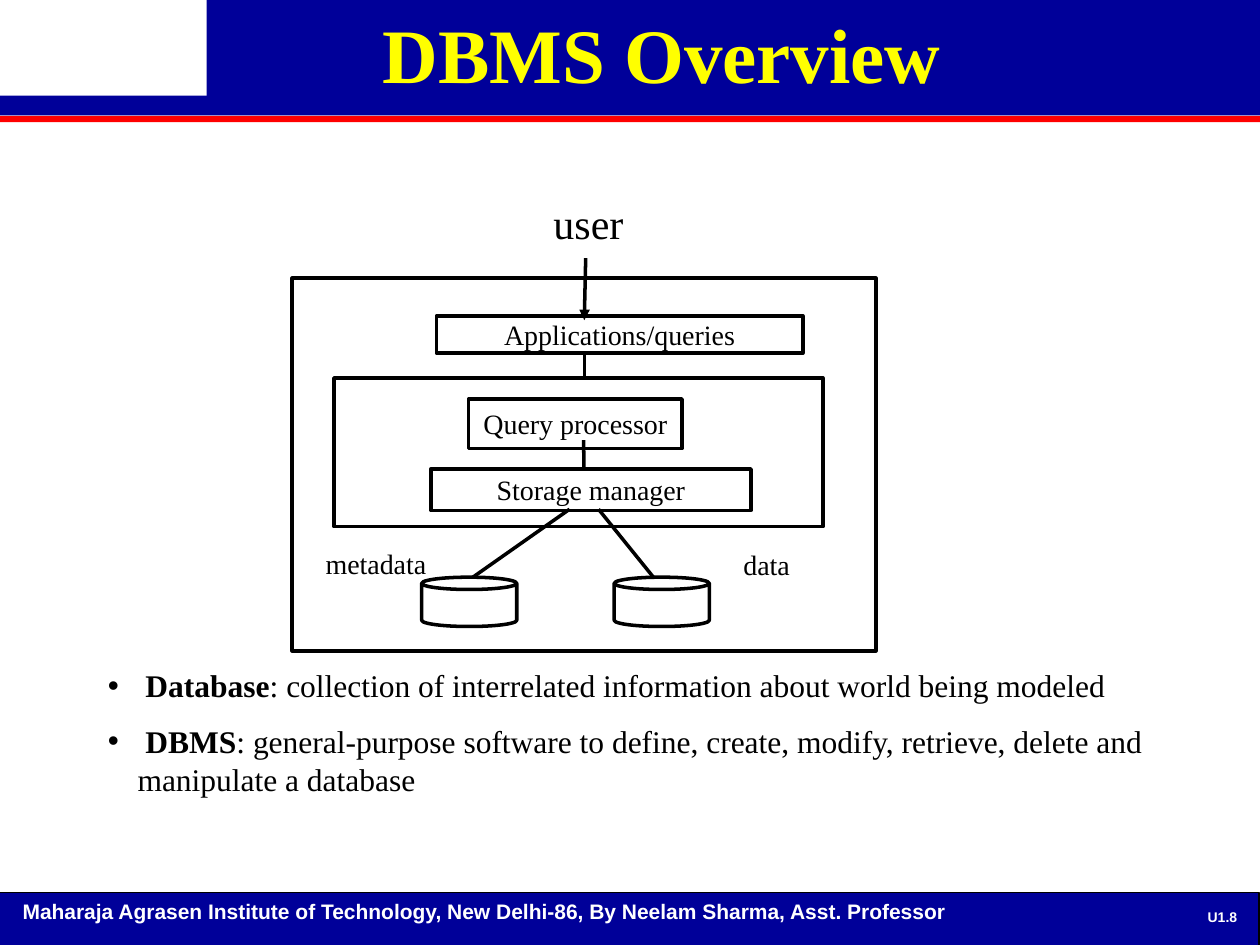
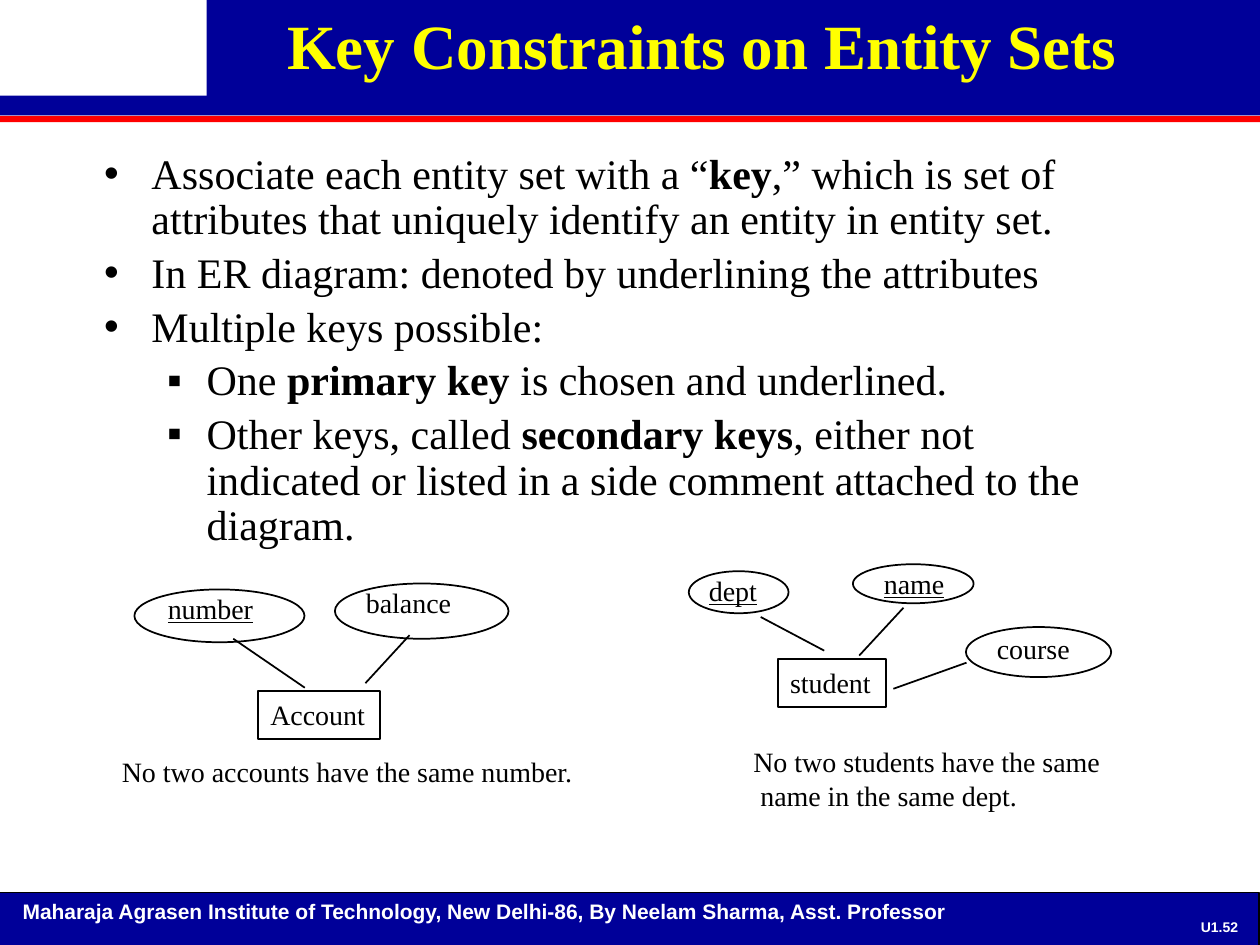
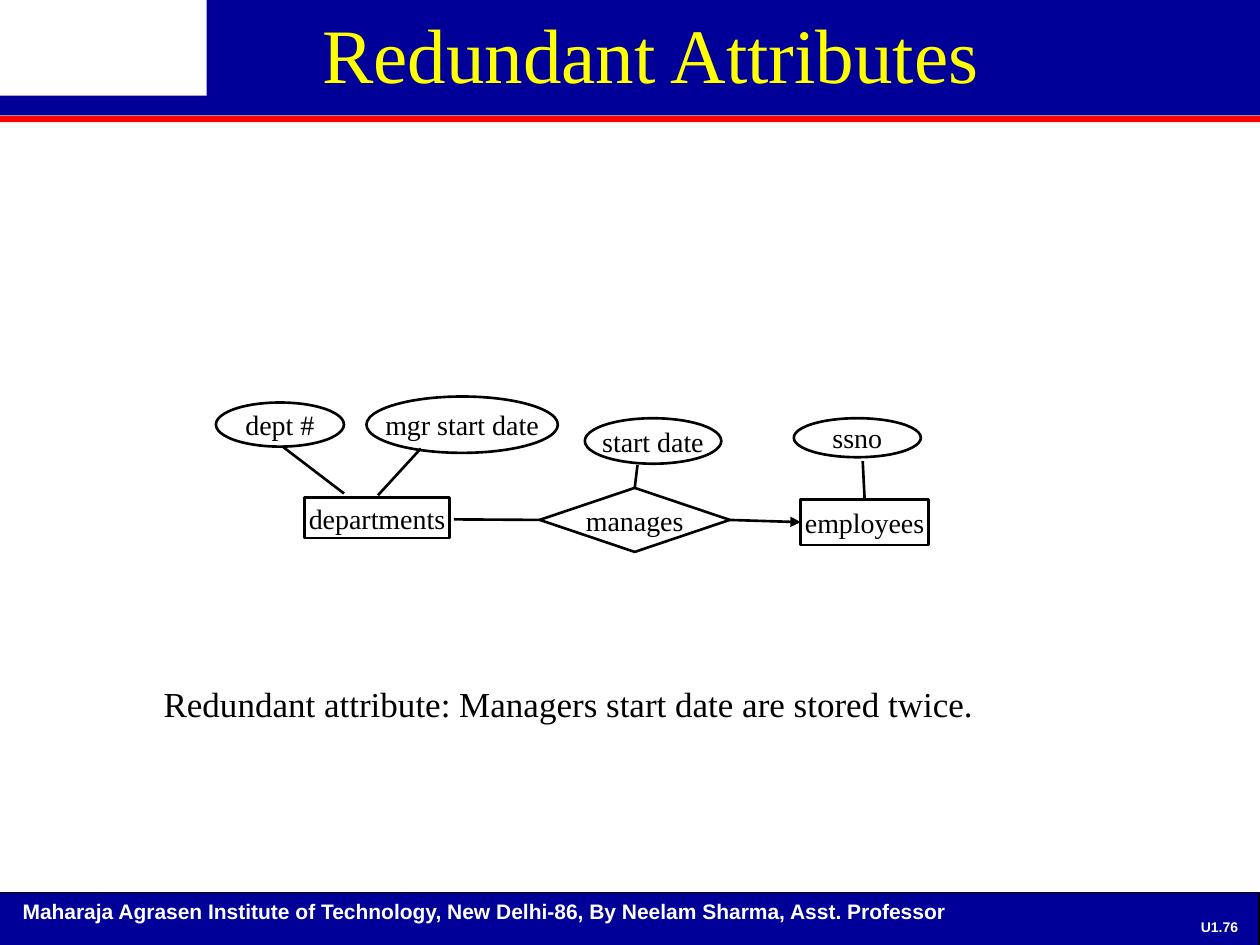
from lxml.etree import SubElement
from pptx import Presentation
from pptx.dml.color import RGBColor
from pptx.enum.shapes import MSO_CONNECTOR, MSO_SHAPE
from pptx.enum.text import MSO_ANCHOR, MSO_AUTO_SIZE, PP_ALIGN
from pptx.oxml.ns import qn
from pptx.util import Pt

NAVY, RED, YELLOW, BLACK, WHITE = "000099", "FF0000", "FFFF00", "000000", "FFFFFF"
SERIF, SANS = "Times New Roman", "Arial"
FOOTER = "Maharaja Agrasen Institute of Technology, New Delhi-86, By Neelam Sharma, Asst. Professor"
LEFT, CENTER = PP_ALIGN.LEFT, PP_ALIGN.CENTER
TOP, MIDDLE = MSO_ANCHOR.TOP, MSO_ANCHOR.MIDDLE
# Connection sites of rectangles and diamonds
SITE_TOP, SITE_LEFT, SITE_RIGHT = 0, 1, 3


def color(hex_code):
    return RGBColor.from_string(hex_code)


def format_run(run, size, font=SERIF, ink=BLACK, bold=False, underline=False):
    run.font.size = Pt(size)
    run.font.name = font
    run.font.color.rgb = color(ink)
    run.font.bold = bold
    if underline:
        run.font.underline = True


def write(shape, lines, size, align=LEFT, anchor=TOP, wrap=False, **style):
    """Fill a shape with one paragraph per line, all in one style."""
    frame = shape.text_frame
    frame.text = "\n".join(lines)
    frame.word_wrap = wrap
    frame.auto_size = MSO_AUTO_SIZE.NONE
    frame.vertical_anchor = anchor
    for paragraph in frame.paragraphs:
        paragraph.alignment = align
        for run in paragraph.runs:
            format_run(run, size, **style)


def add_label(slide, box, lines, size=16, **style):
    label = slide.shapes.add_textbox(*map(Pt, box))
    write(label, lines, size, **style)
    return label


def add_outline(slide, kind, box, weight, text=None, align=CENTER, anchor=MIDDLE):
    """Unfilled diagram node with a black border."""
    node = slide.shapes.add_shape(kind, *map(Pt, box))
    node.shadow.inherit = False
    node.fill.background()
    node.line.color.rgb = color(BLACK)
    node.line.width = Pt(weight)
    if text:
        write(node, [text], 16, align=align, anchor=anchor)
    return node


def add_band(slide, box, fill, border=None):
    band = slide.shapes.add_shape(MSO_SHAPE.RECTANGLE, *map(Pt, box))
    band.shadow.inherit = False
    band.fill.solid()
    band.fill.fore_color.rgb = color(fill)
    if border:
        band.line.color.rgb = color(border)
        band.line.width = Pt(0.75)
    else:
        band.line.fill.background()
    return band


def add_link(slide, start, end, weight, arrow=False):
    link = slide.shapes.add_connector(MSO_CONNECTOR.STRAIGHT, *map(Pt, start + end))
    link.line.color.rgb = color(BLACK)
    link.line.width = Pt(weight)
    if arrow:
        SubElement(link.line._get_or_add_ln(), qn("a:tailEnd"), type="triangle")
    SubElement(link.element.spPr, qn("a:effectLst"))
    return link


def add_bullets(slide, box, items, size, gap, spacing=None):
    """Items are (text, bullet, left margin, hang); ** switches bold on and off."""
    frame = slide.shapes.add_textbox(*map(Pt, box)).text_frame
    frame.word_wrap = True
    for number, (text, bullet, margin, hang) in enumerate(items):
        paragraph = frame.add_paragraph() if number else frame.paragraphs[0]
        props = paragraph._p.get_or_add_pPr()
        props.set("marL", str(Pt(margin)))
        props.set("indent", str(-Pt(hang)))
        SubElement(props, qn("a:buFont"), typeface=SANS)
        SubElement(props, qn("a:buChar"), char=bullet)
        if number:
            paragraph.space_before = Pt(gap)
        if spacing:
            paragraph.line_spacing = spacing
        for part, words in enumerate(text.split("**")):
            if words:
                run = paragraph.add_run()
                run.text = words
                format_run(run, size, bold=part % 2 == 1)


def brand_layout(layout, slide):
    """Build the bands and footer, then move them to the shared layout."""
    for placeholder in list(layout.placeholders):
        if placeholder.placeholder_format.idx != 0:
            layout.shapes.element.remove(placeholder.element)
    parts = [
        add_band(slide, (0, 66.2, 720, 3.6), RED),
        add_band(slide, (118, 0, 602, 55), NAVY),
        add_band(slide, (0, 54.7, 720, 11.3), NAVY),
        add_band(slide, (-0.5, 510, 720, 30.5), NAVY, BLACK),
        add_label(slide, (5.8, 510, 683, 22), [FOOTER], 12, wrap=True,
                  font=SANS, ink=WHITE, bold=True),
    ]
    for part in parts:
        layout.shapes.element.append(part.element)


def start_slide(deck, title, title_box, page, size=44, bold=True):
    layout = deck.slide_layouts[5]
    slide = deck.slides.add_slide(layout)
    if len(deck.slides) == 1:
        brand_layout(layout, slide)
    heading = slide.shapes.title
    heading.left, heading.top, heading.width, heading.height = map(Pt, title_box)
    write(heading, [title], size, align=CENTER, wrap=True, ink=YELLOW, bold=bold)

    # Page number: a wide leading space, then the small number
    number = add_label(slide, (678.2, 515.5, 37.4, 13.7), [" "], 12, align=CENTER,
                       anchor=MIDDLE, wrap=True, font=SANS, ink=WHITE, bold=True)
    run = number.text_frame.paragraphs[0].add_run()
    run.text = page
    format_run(run, 8, SANS, WHITE, True)
    return slide


def overview_slide(deck):
    slide = start_slide(deck, "DBMS Overview", (98.6, 0, 559.4, 64), "U1.8")

    # System layers
    for box, text in [
        ((167, 159, 333.5, 213), None),
        ((249.3, 180.6, 209.5, 21.2), "Applications/queries"),
        ((190.8, 216, 279.4, 85), None),
        ((267.8, 228, 122, 28.4), "Query processor"),
        ((246.2, 268, 183, 23.7), "Storage manager"),
    ]:
        add_outline(slide, MSO_SHAPE.RECTANGLE, box, 2, text)

    # Stores
    for left in (241, 351):
        add_outline(slide, MSO_SHAPE.CAN, (left, 329.8, 54.3, 28.2), 2)

    # Links between layers
    for start, end in [
        ((333.9, 201.8), (333.9, 216)),
        ((333.5, 251.5), (333.7, 269)),
        ((325.5, 291), (270, 330)),
        ((342, 291), (373.5, 330)),
    ]:
        add_link(slide, start, end, 2)
    add_link(slide, (334.7, 147.5), (333.9, 183), 2, arrow=True)

    # Names outside the boxes
    for box, text, size in [
        ((308.9, 109.5, 54.7, 36), "user", 24),
        ((178.5, 308.5, 72.7, 26.6), "metadata", 16),
        ((417.6, 309, 41, 26.6), "data", 16),
    ]:
        add_label(slide, box, [text], size, align=CENTER, anchor=MIDDLE)

    # Definitions
    add_bullets(slide, (54.5, 377.3, 610.5, 83.5), [
        ("** Database**: collection of interrelated information about world being modeled",
         "•", 17, 17),
        ("** DBMS**: general-purpose software to define, create, modify, retrieve, "
         "delete and manipulate a database", "•", 17, 17),
    ], 18, 10)


def keys_slide(deck):
    slide = start_slide(deck, "Key Constraints on Entity Sets",
                        (104.4, 0, 593.3, 64), "U1.52", size=36)

    # Rules about keys
    main, sub = ("•", 27, 27), ("▪", 58.5, 22.5)
    add_bullets(slide, (52.5, 84, 597.6, 208), [
        ("Associate each entity set with a “**key**,” which is set of attributes "
         "that uniquely identify an entity in entity set.", *main),
        ("In ER diagram: denoted by underlining the attributes", *main),
        ("Multiple keys possible:", *main),
        ("One **primary key **is chosen and underlined.", *sub),
        ("Other keys, called **secondary keys**, either not indicated or listed "
         "in a side comment attached to the diagram.", *sub),
    ], 24, 4.8, 0.9)

    # Attributes: ellipse, label box, name, part of the key
    for ellipse, label, name, is_key in [
        ((76.8, 336.8, 97.2, 30.2), (88.8, 334.4, 90.7, 26.6), "number", True),
        ((191.4, 333.4, 99.2, 31.6), (202, 330.8, 63.4, 26.6), "balance", False),
        ((393.6, 326.4, 57, 24), (398, 324, 60.5, 26.6), "dept", True),
        ((487.4, 322.4, 69, 22.3), (498, 320, 49, 26.6), "name", True),
        ((552, 358.3, 83, 28.6), (562.6, 357.5, 56, 26.6), "course", False),
    ]:
        add_outline(slide, MSO_SHAPE.OVAL, ellipse, 1)
        add_label(slide, label, [name], wrap=name in ("number", "dept"),
                  underline=is_key)

    # Entity sets
    for box, name in [((147.4, 394.8, 69.8, 27.6), "Account"),
                      ((444.4, 376.5, 62, 27.6), "student")]:
        add_outline(slide, MSO_SHAPE.RECTANGLE, box, 1, name, LEFT, TOP)

    # Links from entity sets to attributes
    for start, end in [
        ((174.2, 393), (133.3, 365)),
        ((208.8, 390.4), (234, 363)),
        ((471, 371.8), (434.7, 352.6)),
        ((491, 374.6), (516.3, 347.3)),
        ((510.5, 393.6), (552.3, 378.7)),
    ]:
        add_link(slide, start, end, 1)

    # Meaning of each key
    add_label(slide, (62.6, 427.8, 274.4, 26.6), ["No two accounts have the same number."])
    add_label(slide, (423.4, 422, 214, 46),
              ["No two students have the same", " name in the same dept."])


def redundancy_slide(deck):
    slide = start_slide(deck, "Redundant Attributes", (48, 0, 648, 90), "U1.76", bold=False)
    weight = 1.5

    # Entities and their relationship
    add_outline(slide, MSO_SHAPE.RECTANGLE, (174, 284.4, 83, 23), weight, "departments")
    employees = add_outline(slide, MSO_SHAPE.RECTANGLE, (457.6, 285.4, 73, 26), weight,
                            "employees")
    manages = add_outline(slide, MSO_SHAPE.DIAMOND, (308.4, 278.8, 108.6, 36.6), weight,
                          "manages")

    # Attributes
    for box, name in [
        ((209.4, 226.6, 109.4, 32.2), "mgr start date"),
        ((123.4, 230, 73.2, 25.2), "dept #"),
        ((334.2, 239, 78, 26), "start date"),
        ((453.6, 239, 72.6, 22.3), "ssno"),
    ]:
        add_outline(slide, MSO_SHAPE.OVAL, box, weight, name)

    # Links
    add_link(slide, (162, 255.6), (196.6, 282), weight)
    add_link(slide, (240.5, 256.3), (216, 283), weight)
    for start, node, site in [
        ((259.4, 296.8), manages, SITE_LEFT),
        ((364.3, 265.7), manages, SITE_TOP),
        ((493, 263.5), employees, SITE_TOP),
    ]:
        add_link(slide, start, start, weight).end_connect(node, site)
    role = add_link(slide, (417, 297), (457.6, 298), weight, arrow=True)
    role.begin_connect(manages, SITE_RIGHT)
    role.end_connect(employees, SITE_LEFT)

    # Conclusion
    add_label(slide, (86.4, 386.6, 520, 31),
              ["Redundant attribute: Managers start date are stored twice."], 20, wrap=True)


def main():
    deck = Presentation()
    deck.slide_width, deck.slide_height = Pt(720), Pt(540)
    overview_slide(deck)
    keys_slide(deck)
    redundancy_slide(deck)
    deck.save("out.pptx")


if __name__ == "__main__":
    main()
